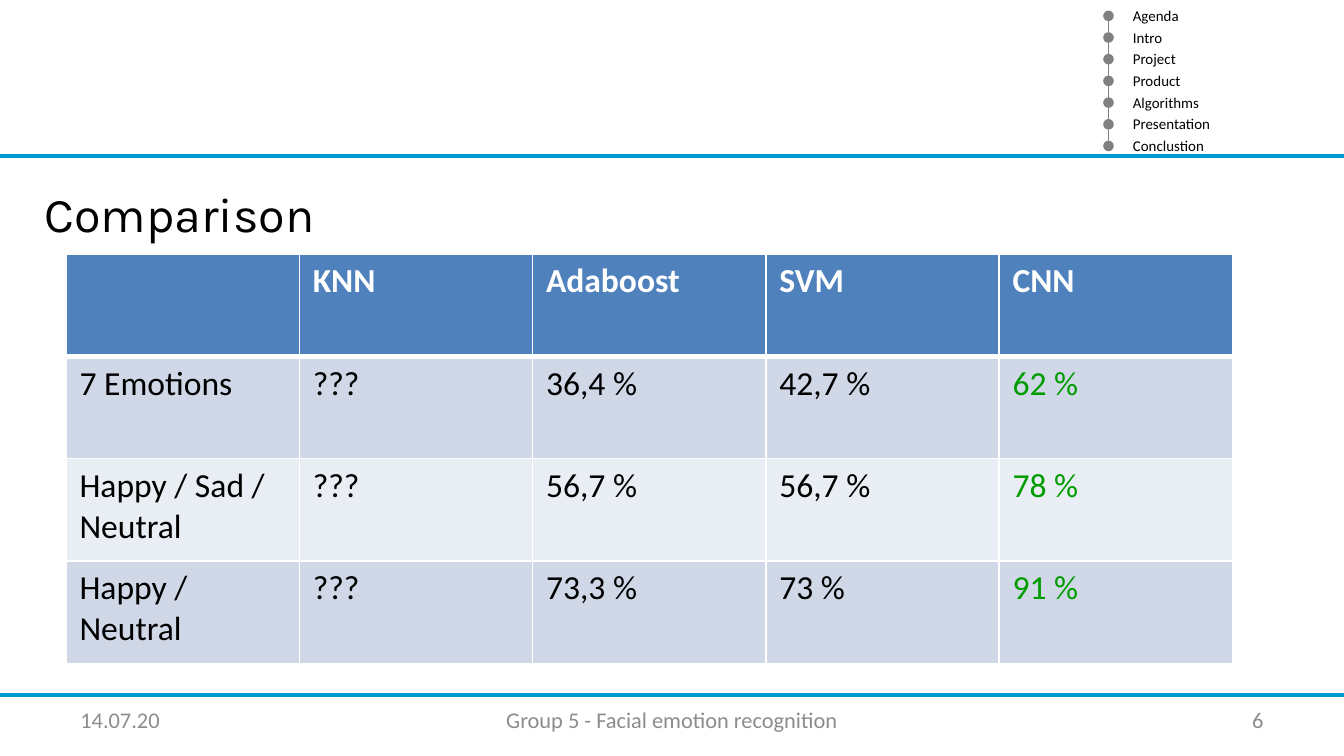
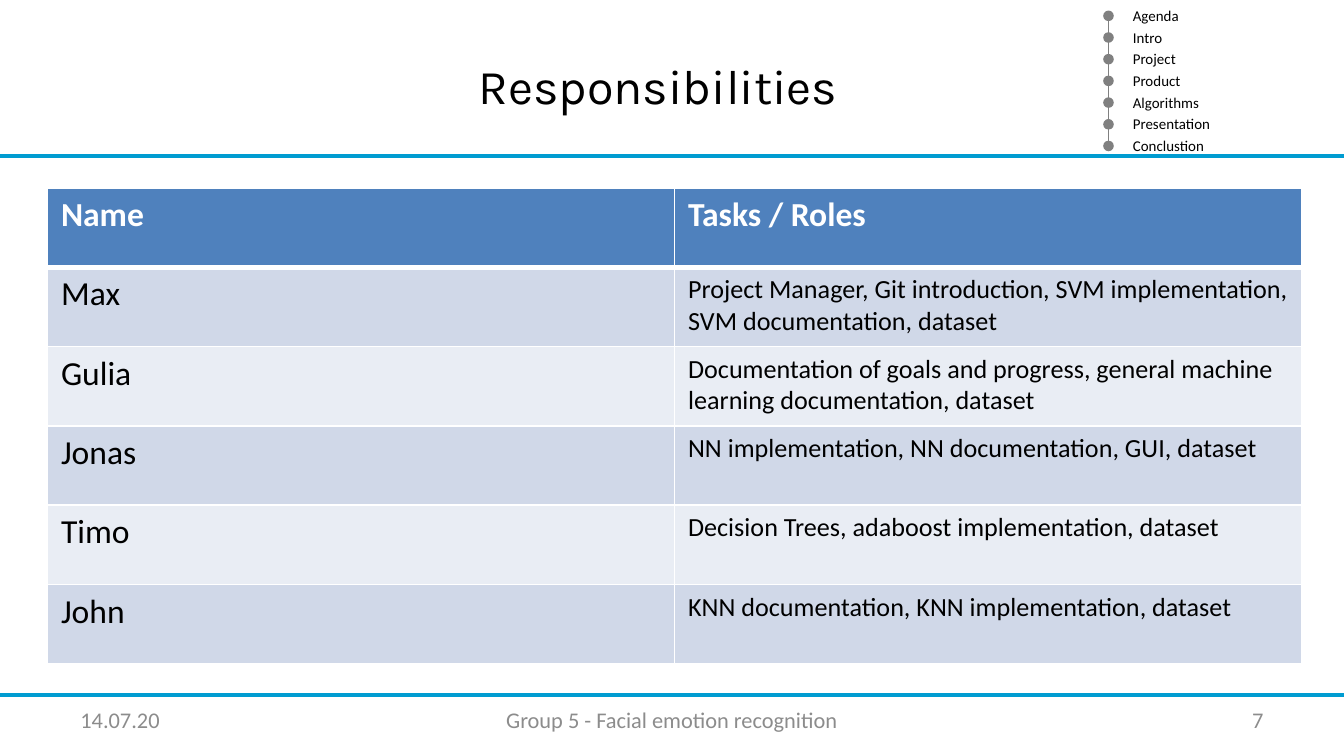
"""Builds the comparison and responsibilities slides of the emotion recognition deck."""
from lxml import etree
from pptx import Presentation
from pptx.dml.color import RGBColor
from pptx.enum.shapes import MSO_CONNECTOR, MSO_SHAPE
from pptx.enum.text import MSO_ANCHOR, PP_ALIGN
from pptx.oxml.ns import qn
from pptx.util import Cm, Pt

STRAIGHT, ELLIPSE = MSO_CONNECTOR.STRAIGHT, MSO_SHAPE.OVAL
TOP, MIDDLE = MSO_ANCHOR.TOP, MSO_ANCHOR.MIDDLE
LEFT, CENTER, RIGHT = PP_ALIGN.LEFT, PP_ALIGN.CENTER, PP_ALIGN.RIGHT

BLACK, WHITE, GREY, BLUE, GREEN = "000000", "FFFFFF", "808080", "009CD1", "009C00"
FOOTER_GREY, HEADER_FILL = "8C8C8C", "4F81BD"
BAND_FILLS = ("D0D8E8", "E9EDF4")
BODY_FONT, TITLE_FONT = "Calibri", "Karla"

SLIDE_WIDTH, SLIDE_HEIGHT = 25.4, 14.29
RULES = (2.95, 13.13)
CHAPTERS = ("Agenda", "Intro", "Project", "Product", "Algorithms", "Presentation", "Conclustion")
CHAPTER_STEP, DOT_LEFT, DOT_TOP, DOT_SIZE = 0.41, 20.85, 0.2, 0.2
FOOTER_TOP, FOOTER_HEIGHT = 13.23, 0.76

SLIDES = [
    {
        "number": 6,
        "title": ("Comparison", 3.35, LEFT),
        "table_box": (1.25, 4.8, 22.04, 7.74),
        "rows": [
            ("", "KNN", "Adaboost", "SVM", "CNN"),
            ("7 Emotions", "???", "36,4 %", "42,7 %", "62 %"),
            ("Happy / Sad / Neutral", "???", "56,7 %", "56,7 %", "78 %"),
            ("Happy / Neutral", "???", "73,3 %", "73 %", "91 %"),
        ],
        "last_column": (18, GREEN),
    },
    {
        "number": 7,
        "title": ("Responsibilities", 0.94, CENTER),
        "table_box": (0.9, 3.55, 23.7, 9),
        "rows": [
            ("Name", "Tasks / Roles"),
            ("Max", "Project Manager, Git introduction, SVM implementation, SVM documentation, dataset"),
            ("Gulia", "Documentation of goals and progress, general machine learning documentation, dataset"),
            ("Jonas", "NN implementation, NN documentation, GUI, dataset"),
            ("Timo", "Decision Trees, adaboost implementation, dataset"),
            ("John", "KNN documentation, KNN implementation, dataset"),
        ],
        "last_column": (14, BLACK),
    },
]


def rgb(value):
    return RGBColor.from_string(value)


def write(frame, text, size, color, align=LEFT, font=BODY_FONT, bold=False):
    paragraph = frame.paragraphs[0]
    paragraph.text = text
    paragraph.alignment = align
    paragraph.font.size = Pt(size)
    paragraph.font.name = font
    paragraph.font.bold = bold
    paragraph.font.color.rgb = rgb(color)
    return paragraph


def add_text(slide, box, text, size, color, align=LEFT, font=BODY_FONT, anchor=TOP):
    frame = slide.shapes.add_textbox(*map(Cm, box)).text_frame
    frame.word_wrap = True
    frame.vertical_anchor = anchor
    return write(frame, text, size, color, align, font)


def add_line(slide, ends, color, width):
    line = slide.shapes.add_connector(STRAIGHT, *map(Cm, ends))
    line.line.color.rgb = rgb(color)
    line.line.width = Pt(width)
    etree.SubElement(line._element.spPr, qn("a:effectLst"))


def add_chapters(slide):
    center = DOT_LEFT + DOT_SIZE / 2
    bottom = DOT_TOP + (len(CHAPTERS) - 1) * CHAPTER_STEP
    add_line(slide, (center, DOT_TOP + DOT_SIZE, center, bottom), GREY, 1)
    for index, chapter in enumerate(CHAPTERS):
        offset = index * CHAPTER_STEP
        dot = slide.shapes.add_shape(
            ELLIPSE, Cm(DOT_LEFT), Cm(DOT_TOP + offset), Cm(DOT_SIZE), Cm(DOT_SIZE))
        dot.shadow.inherit = False
        dot.fill.solid()
        dot.fill.fore_color.rgb = rgb(GREY)
        dot.line.fill.background()
        add_text(slide, (21.16, offset, 3.3, 0.6), chapter, 8, BLACK)


def add_frame(slide, number):
    add_chapters(slide)
    for y in RULES:
        add_line(slide, (0, y, SLIDE_WIDTH, y), BLUE, 2)
    footers = (
        (1.27, 5.92, "14.07.20", LEFT),
        (8.68, 8.04, "Group 5 - Facial emotion recognition", CENTER),
        (18.2, 5.93, str(number), RIGHT),
    )
    for left, width, text, align in footers:
        add_text(slide, (left, FOOTER_TOP, width, FOOTER_HEIGHT), text, 12, FOOTER_GREY,
                 align, anchor=MIDDLE)


def set_borders(cell, **widths):
    properties = cell._tc.get_or_add_tcPr()
    for side in "LRTB":
        border = etree.SubElement(properties, qn(f"a:ln{side}"), w=str(Pt(widths.get(side, 1))))
        fill = etree.SubElement(border, qn("a:solidFill"))
        etree.SubElement(fill, qn("a:srgbClr"), val=WHITE)


def add_grid(slide, box, rows, last_column):
    table = slide.shapes.add_table(len(rows), len(rows[0]), *map(Cm, box)).table
    for r, row in enumerate(rows):
        for c, text in enumerate(row):
            cell = table.cell(r, c)
            if r == 0:
                set_borders(cell, B=3)
                fill, size, color = HEADER_FILL, 18, WHITE
            else:
                set_borders(cell, T=3 if r == 1 else 1)
                fill = BAND_FILLS[(r - 1) % 2]
                size, color = last_column if c == len(row) - 1 else (18, BLACK)
            cell.fill.solid()
            cell.fill.fore_color.rgb = rgb(fill)
            write(cell.text_frame, text, size, color, bold=r == 0)


def main():
    deck = Presentation()
    deck.slide_width, deck.slide_height = Cm(SLIDE_WIDTH), Cm(SLIDE_HEIGHT)
    for content in SLIDES:
        slide = deck.slides.add_slide(deck.slide_layouts[6])
        add_frame(slide, content["number"])
        title, top, align = content["title"]
        heading = add_text(slide, (0.59, top, 23.7, 1.4), title, 26, BLACK, align, TITLE_FONT)
        heading.space_before = Pt(5)
        add_grid(slide, content["table_box"], content["rows"], content["last_column"])
    deck.save("out.pptx")


if __name__ == "__main__":
    main()
